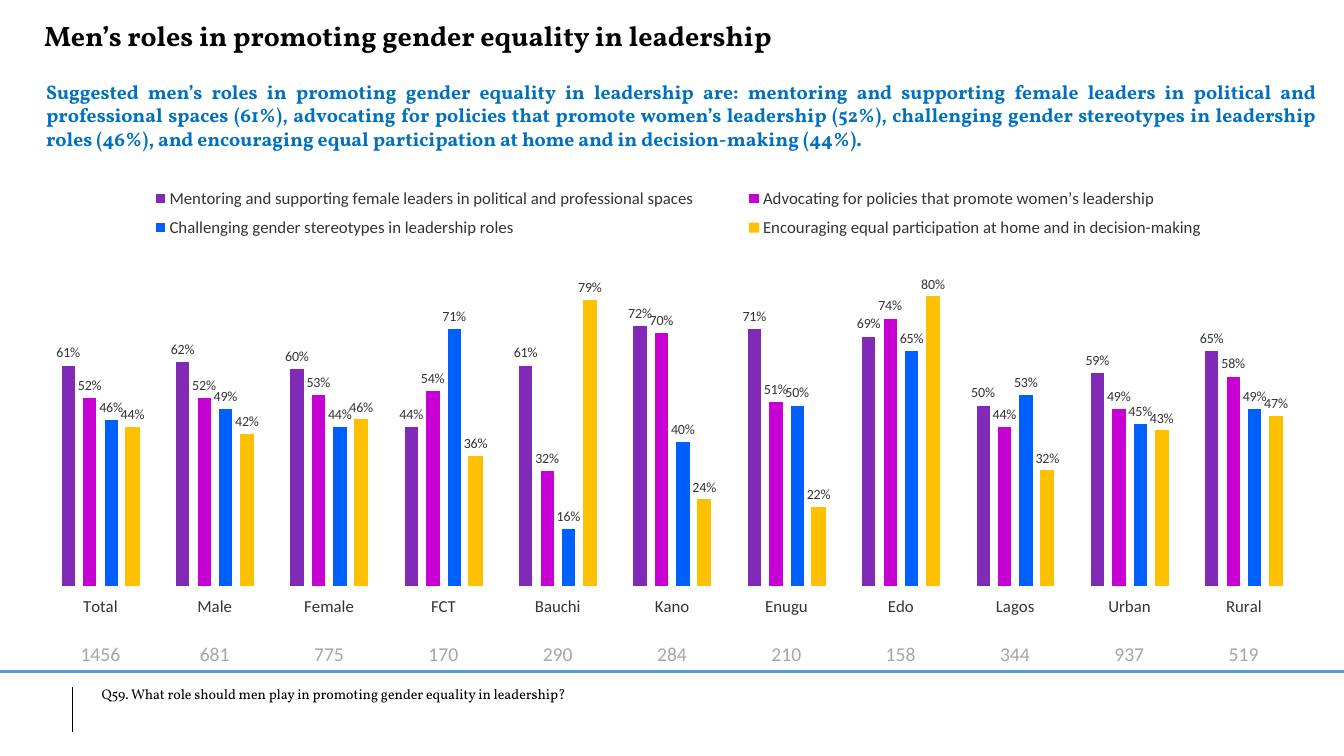
import dataclasses

import lxml.etree
import pptx
import pptx.chart.data
import pptx.dml.color
import pptx.enum.chart
import pptx.enum.shapes
import pptx.enum.text
import pptx.oxml.ns
import pptx.util

Cm = pptx.util.Cm
Pt = pptx.util.Pt
qn = pptx.oxml.ns.qn
ALIGN = pptx.enum.text.PP_ALIGN
ANCHOR = pptx.enum.text.MSO_ANCHOR


def rgb(code):
    return pptx.dml.color.RGBColor.from_string(code)


@dataclasses.dataclass(frozen=True)
class Theme:
    heading_font: str = "Vollkorn"
    data_font: str = "Calibri"
    ink: str = "000000"
    accent: str = "0070C0"
    rule: str = "5B9BD5"
    chart_text: str = "333333"
    base_text: str = "A6A6A6"
    bar_edge: str = "FFFFFF"
    title_size: int = 20
    summary_size: int = 14
    base_size: int = 14
    chart_size: int = 12
    label_size: int = 10
    note_size: int = 10


THEME = Theme()

TITLE = "Men’s roles in promoting gender equality in leadership"
SUMMARY = (
    "Suggested men’s roles in promoting gender equality in leadership are: "
    "mentoring and supporting female leaders in political and professional spaces (61%), "
    "advocating for policies that promote women’s leadership (52%), "
    "challenging gender stereotypes in leadership roles (46%), "
    "and encouraging equal participation at home and in decision-making (44%)."
)
QUESTION = "Q59. What role should men play in promoting gender equality in leadership?"

# Respondents per group
BASES = {
    "Total": 1456, "Male": 681, "Female": 775, "FCT": 170, "Bauchi": 290, "Kano": 284,
    "Enugu": 210, "Edo": 158, "Lagos": 344, "Urban": 937, "Rural": 519,
}

# Role, bar colour, outlined or not, percentages by group
ROLES = [
    ("Mentoring and supporting female leaders in political and professional spaces",
     "802AB7", True, [61, 62, 60, 44, 61, 72, 71, 69, 50, 59, 65]),
    ("Advocating for policies that promote women’s leadership",
     "C700D3", True, [52, 52, 53, 54, 32, 70, 51, 74, 44, 49, 58]),
    ("Challenging gender stereotypes in leadership roles",
     "0060FF", True, [46, 49, 44, 71, 16, 40, 50, 65, 53, 45, 49]),
    ("Encouraging equal participation at home and in decision-making",
     "FFC000", False, [44, 42, 46, 36, 79, 24, 22, 80, 32, 43, 47]),
]


def apply(target, formats):
    for name, value in formats.items():
        setattr(target, name, value)


def style_font(font, face, size, color, bold=False):
    apply(font, {"name": face, "size": Pt(size), "bold": bold})
    font.color.rgb = rgb(color)


def place(shape, box):
    apply(shape, dict(zip(("left", "top", "width", "height"), box)))


def write(shape, text, size, color, bold=False, align=ALIGN.LEFT):
    frame = shape.text_frame
    apply(frame, {"word_wrap": True, "vertical_anchor": ANCHOR.TOP,
                  "auto_size": pptx.enum.text.MSO_AUTO_SIZE.NONE})
    para = frame.paragraphs[0]
    apply(para, {"alignment": align, "space_before": Pt(0)})
    span = para.add_run()
    span.text = text
    style_font(span.font, THEME.heading_font, size, color, bold)
    return para


def add_heading(page, box):
    left, top, width, height = box
    place(page.shapes.title, (left, top, Cm(23.95), Cm(1.12)))
    write(page.shapes.title, TITLE, THEME.title_size, THEME.ink, True)

    # Summary paragraph, without a bullet
    summary = page.placeholders[1]
    offset = Cm(1.55)
    place(summary, (left + Cm(0.05), top + offset, width - Cm(0.05), height - offset))
    para = write(summary, SUMMARY, THEME.summary_size, THEME.accent, True, ALIGN.JUSTIFY)
    properties = para._p.get_or_add_pPr()
    properties.set("marL", "0")
    properties.set("indent", "0")
    lxml.etree.SubElement(properties, qn("a:buNone"))


def make_layout(sizes, inner=False):
    layout = lxml.etree.Element(qn("c:layout"))
    manual = lxml.etree.SubElement(layout, qn("c:manualLayout"))
    settings = {"layoutTarget": "inner"} if inner else {}
    settings.update(xMode="edge", yMode="edge", **dict(zip("xywh", sizes)))
    for name, value in settings.items():
        lxml.etree.SubElement(manual, qn(f"c:{name}")).set("val", str(value))
    return layout


def add_role_chart(page, box):
    source = pptx.chart.data.CategoryChartData(number_format="0%")
    source.categories = list(BASES)
    for name, _, _, percents in ROLES:
        source.add_series(name, [percent / 100 for percent in percents])
    kinds = pptx.enum.chart
    chart = page.shapes.add_chart(kinds.XL_CHART_TYPE.COLUMN_CLUSTERED, *box, source).chart
    apply(chart, {"has_title": False, "has_legend": True})
    style_font(chart.font, THEME.data_font, THEME.chart_size, THEME.chart_text)
    apply(chart.legend, {"position": kinds.XL_LEGEND_POSITION.TOP, "include_in_layout": False})

    # Axes
    apply(chart.value_axis, {"visible": False, "has_major_gridlines": False,
                             "minimum_scale": 0, "maximum_scale": 0.9})
    chart.category_axis.format.line.fill.background()

    # Bars and their labels
    plot = chart.plots[0]
    apply(plot, {"gap_width": 250, "overlap": -50, "vary_by_categories": False})
    for series, (_, color, outlined, _) in zip(plot.series, ROLES):
        series.format.fill.solid()
        series.format.fill.fore_color.rgb = rgb(color)
        if outlined:
            series.format.line.color.rgb = rgb(THEME.bar_edge)
            series.format.line.width = Pt(0.5)
        labels = series.data_labels
        apply(labels, {"show_value": True, "number_format": "0%",
                       "number_format_is_linked": False,
                       "position": kinds.XL_LABEL_POSITION.OUTSIDE_END})
        style_font(labels.font, THEME.data_font, THEME.label_size, THEME.chart_text)

    # Fixed places for the plot and the two-column legend
    area = next(chart.element.iter(qn("c:plotArea")))
    for old in area.findall(qn("c:layout")):
        area.remove(old)
    area.insert(0, make_layout((0, 0.19, 1, 0.735), inner=True))
    legend = next(chart.element.iter(qn("c:legend")))
    for old in legend.findall(qn("c:layout")):
        legend.remove(old)
    legend.find(qn("c:legendPos")).addnext(make_layout((0.05, 0.01, 0.91, 0.15)))


def add_base_row(page, box):
    table = page.shapes.add_table(1, len(BASES), *box).table
    apply(table, {"first_row": False, "horz_banding": False})
    for column, cell, base in zip(table.columns, table.rows[0].cells, BASES.values()):
        column.width = box[2] // len(BASES)
        cell.fill.background()
        apply(cell, {"vertical_anchor": ANCHOR.BOTTOM, "margin_left": Cm(0.03),
                     "margin_right": Cm(0.03), "margin_top": Cm(0.03), "margin_bottom": 0})
        para = cell.text_frame.paragraphs[0]
        para.alignment = ALIGN.CENTER
        span = para.add_run()
        span.text = str(base)
        style_font(span.font, THEME.data_font, THEME.base_size, THEME.base_text)


def add_rule(page, start, end, color, weight):
    rule = page.shapes.add_connector(pptx.enum.shapes.MSO_CONNECTOR.STRAIGHT, *start, *end)
    rule.line.color.rgb = rgb(color)
    rule.line.width = Pt(weight)
    lxml.etree.SubElement(rule._element.spPr, qn("a:effectLst"))


def add_footer(page, box):
    left, top, width, height = box
    add_rule(page, (left, top), (left + width, top), THEME.rule, 2.25)
    bar = left + Cm(1.83)
    add_rule(page, (bar, top + Cm(0.4)), (bar, top + height), THEME.ink, 0.5)
    note = page.shapes.add_textbox(left + Cm(2.31), top + Cm(0.23), Cm(29.57), Cm(0.69))
    write(note, QUESTION, THEME.note_size, THEME.ink)


def main():
    deck = pptx.Presentation()
    apply(deck, {"slide_width": Cm(33.87), "slide_height": Cm(19.05)})
    page = deck.slides.add_slide(deck.slide_layouts[1])
    add_footer(page, (0, Cm(16.92), deck.slide_width, Cm(1.52)))
    add_heading(page, (Cm(0.86), Cm(0.33), Cm(32.59), Cm(3.61)))
    add_role_chart(page, (Cm(1.09), Cm(4.42), Cm(31.7), Cm(11.2)))
    add_base_row(page, (Cm(1.09), Cm(16.08), Cm(31.7), Cm(0.71)))
    deck.save("out.pptx")


if __name__ == "__main__":
    main()
